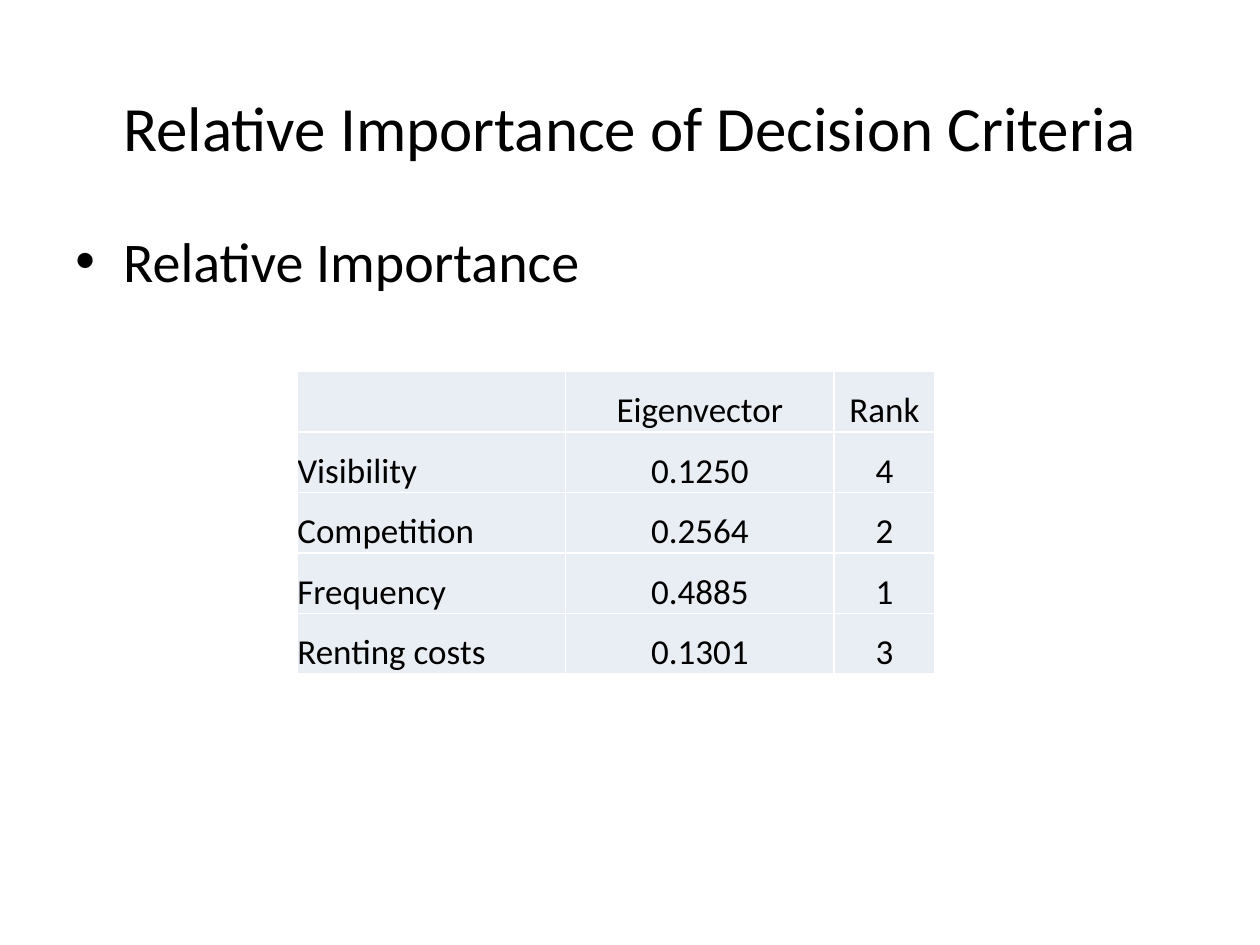
from dataclasses import dataclass

from lxml.etree import SubElement
from pptx import Presentation
from pptx.dml.color import RGBColor
from pptx.enum.text import MSO_ANCHOR, PP_ALIGN
from pptx.oxml.ns import qn
from pptx.util import Inches, Pt


@dataclass(frozen=True)
class Theme:
    font: str = "Calibri"
    ink: str = "000000"
    cell_fill: str = "E9EDF4"
    border: str = "FFFFFF"
    border_width: float = 1
    title_size: int = 36
    body_size: int = 32
    table_size: int = 20


@dataclass(frozen=True)
class Criterion:
    name: str
    eigenvector: str
    rank: str


THEME = Theme()
SLIDE_WIDTH, SLIDE_HEIGHT = Inches(10), Inches(7.5)
MARGIN = 0.05  # share of the slide width
COLUMN_WIDTHS = (2.13, 2.13, 0.8)
ROW_HEIGHT = 0.48
ROWS = (
    Criterion("", "Eigenvector", "Rank"),
    Criterion("Visibility", "0.1250", "4"),
    Criterion("Competition", "0.2564", "2"),
    Criterion("Frequency", "0.4885", "1"),
    Criterion("Renting costs", "0.1301", "3"),
)


def style_paragraph(para, size: int, align: PP_ALIGN = PP_ALIGN.LEFT) -> None:
    para.alignment = align
    para.font.name = THEME.font
    para.font.size = Pt(size)
    para.font.color.rgb = RGBColor.from_string(THEME.ink)


def place(shape, top: float, height: float) -> None:
    """Span the slide between its margins; top and height are shares of its height."""
    shape.left = int(SLIDE_WIDTH * MARGIN)
    shape.width = int(SLIDE_WIDTH * (1 - 2 * MARGIN))
    shape.top = int(SLIDE_HEIGHT * top)
    shape.height = int(SLIDE_HEIGHT * height)


def add_title(page, text: str) -> None:
    title = page.shapes.title
    place(title, top=0.05, height=1 / 6)
    title.text_frame.vertical_anchor = MSO_ANCHOR.MIDDLE
    title.text_frame.text = text
    style_paragraph(title.text_frame.paragraphs[0], THEME.title_size, PP_ALIGN.CENTER)


def add_bullet(page, text: str) -> None:
    box = page.shapes.add_textbox(0, 0, 0, 0)
    place(box, top=0.233, height=0.66)
    box.text_frame.word_wrap = True
    para = box.text_frame.paragraphs[0]
    para.text = text
    properties = para._p.get_or_add_pPr()
    properties.set("marL", str(Inches(0.38)))
    properties.set("indent", str(-Inches(0.38)))
    SubElement(properties, qn("a:buFont"), typeface="Arial")
    SubElement(properties, qn("a:buChar"), char="•")
    style_paragraph(para, THEME.body_size)


def add_borders(cell) -> None:
    properties = cell._tc.get_or_add_tcPr()
    for side in ("lnL", "lnR", "lnT", "lnB"):
        line = SubElement(properties, qn(f"a:{side}"), w=str(Pt(THEME.border_width)))
        fill = SubElement(line, qn("a:solidFill"))
        SubElement(fill, qn("a:srgbClr"), val=THEME.border)


def fill_cell(cell, text: str, align: PP_ALIGN) -> None:
    add_borders(cell)
    cell.fill.solid()
    cell.fill.fore_color.rgb = RGBColor.from_string(THEME.cell_fill)
    cell.margin_left = cell.margin_right = cell.margin_top = cell.margin_bottom = 0
    cell.vertical_anchor = MSO_ANCHOR.BOTTOM
    cell.text = text
    style_paragraph(cell.text_frame.paragraphs[0], THEME.table_size, align)


def add_criteria_table(page) -> None:
    table = page.shapes.add_table(
        len(ROWS), len(COLUMN_WIDTHS), Inches(2.36), Inches(2.95),
        Inches(sum(COLUMN_WIDTHS)), Inches(ROW_HEIGHT * len(ROWS)),
    ).table
    table.first_row = table.horz_banding = False
    for column, width in zip(table.columns, COLUMN_WIDTHS):
        column.width = Inches(width)
    for row, criterion in zip(table.rows, ROWS):
        row.height = Inches(ROW_HEIGHT)
        name, eigenvector, rank = row.cells
        fill_cell(name, criterion.name, PP_ALIGN.LEFT)
        fill_cell(eigenvector, criterion.eigenvector, PP_ALIGN.CENTER)
        fill_cell(rank, criterion.rank, PP_ALIGN.CENTER)


def main() -> None:
    deck = Presentation()
    deck.slide_width, deck.slide_height = SLIDE_WIDTH, SLIDE_HEIGHT
    page = deck.slides.add_slide(deck.slide_layouts.get_by_name("Title Only"))
    add_title(page, "Relative Importance of Decision Criteria")
    add_bullet(page, "Relative Importance")
    add_criteria_table(page)
    deck.save("out.pptx")


if __name__ == "__main__":
    main()
